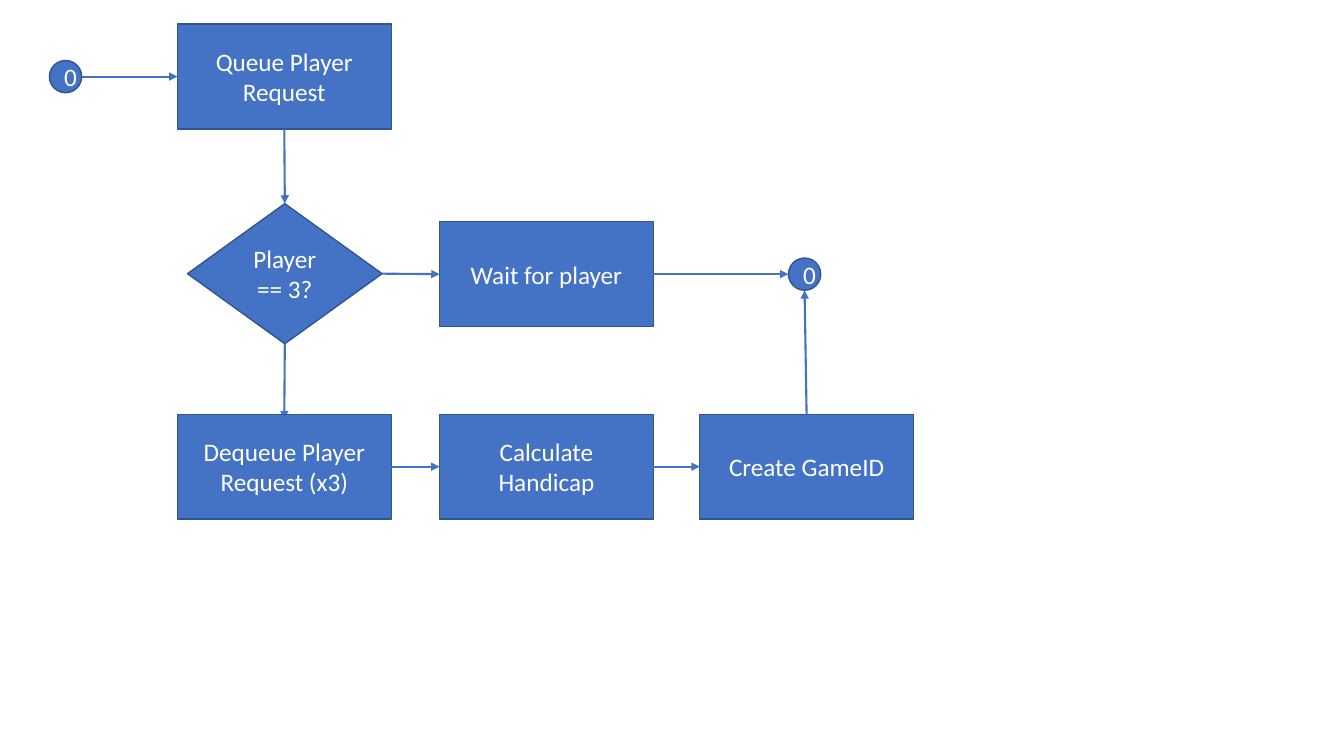
import pptx
import pptx.dml.color
import pptx.enum.shapes
import pptx.enum.text
import pptx.oxml
import pptx.oxml.ns
import pptx.util
from pptx.util import Inches

BLUE = pptx.dml.color.RGBColor(0x44, 0x72, 0xC4)
DARK_BLUE = pptx.dml.color.RGBColor(0x32, 0x54, 0x91)
WHITE = pptx.dml.color.RGBColor(0xFF, 0xFF, 0xFF)
KINDS = pptx.enum.shapes.MSO_SHAPE

TOP, LEFT, BOTTOM, RIGHT = range(4)
COLUMNS = (1.76, 4.36, 6.94)
QUEUE_ROW, WAIT_ROW, GAME_ROW = 0.24, 2.2, 4.11


def add_node(slide, kind, text, left, top, width, height):
    shape = slide.shapes.add_shape(
        kind, Inches(left), Inches(top), Inches(width), Inches(height))
    shape.shadow.inherit = False
    shape.fill.solid()
    shape.fill.fore_color.rgb = BLUE
    shape.line.color.rgb = DARK_BLUE
    shape.line.width = pptx.util.Pt(1)
    shape.text_frame.vertical_anchor = pptx.enum.text.MSO_ANCHOR.MIDDLE
    paragraph = shape.text_frame.paragraphs[0]
    paragraph.alignment = pptx.enum.text.PP_ALIGN.CENTER
    run = paragraph.add_run()
    run.text = text
    run.font.name = "Calibri"
    run.font.size = pptx.util.Pt(18)
    run.font.color.rgb = WHITE
    return shape


def add_process(slide, text, left, top):
    return add_node(slide, KINDS.FLOWCHART_PROCESS, text, left, top, 2.12, 1.04)


def add_state(slide, text, left, top):
    return add_node(slide, KINDS.FLOWCHART_CONNECTOR, text, left, top, 0.32, 0.32)


def add_arrow(slide, start, end, source=None, target=None):
    """Draw from start to end; source and target are (shape, side) to join."""
    arrow = slide.shapes.add_connector(
        pptx.enum.shapes.MSO_CONNECTOR.STRAIGHT,
        *(Inches(value) for value in start + end))
    if source:
        arrow.begin_connect(*source)
    if target:
        arrow.end_connect(*target)
    arrow.line.color.rgb = BLUE
    arrow.line.width = pptx.util.Pt(1.5)
    namespace = pptx.oxml.ns.nsdecls("a")
    line = arrow.line._get_or_add_ln()
    line.append(pptx.oxml.parse_xml(f'<a:tailEnd {namespace} type="triangle"/>'))
    line.addnext(pptx.oxml.parse_xml(f"<a:effectLst {namespace}/>"))


def main():
    presentation = pptx.Presentation()
    presentation.slide_width = Inches(13.33)
    presentation.slide_height = Inches(7.5)
    slide = presentation.slides.add_slide(presentation.slide_layouts[6])

    queue = add_process(slide, "Queue Player Request", COLUMNS[0], QUEUE_ROW)
    add_state(slide, "0", 0.49, 0.6)
    decision = add_node(
        slide, KINDS.FLOWCHART_DECISION, "Player == 3?", 1.86, 2.02, 1.93, 1.39)
    # This arrowhead tucks behind the box that follows it.
    add_arrow(slide, (2.82, 3.42), (2.82, 4.16), source=(decision, BOTTOM))
    dequeue, handicap, game = (
        add_process(slide, text, left, GAME_ROW)
        for text, left in zip(
            ("Dequeue Player Request (x3)", "Calculate Handicap", "Create GameID"),
            COLUMNS))
    wait = add_process(slide, "Wait for player", COLUMNS[1], WAIT_ROW)
    add_state(slide, "0", 7.82, 2.56)

    add_arrow(slide, (0.81, 0.76), (1.76, 0.76), target=(queue, LEFT))
    add_arrow(slide, (2.82, 1.28), (2.82, 2.02), (queue, BOTTOM), (decision, TOP))
    add_arrow(slide, (3.79, 2.72), (4.36, 2.72), (decision, RIGHT), (wait, LEFT))
    add_arrow(slide, (6.48, 2.72), (7.82, 2.72), source=(wait, RIGHT))
    add_arrow(slide, (3.88, 4.63), (4.36, 4.63), (dequeue, RIGHT), (handicap, LEFT))
    add_arrow(slide, (6.48, 4.63), (6.94, 4.63), (handicap, RIGHT), (game, LEFT))
    add_arrow(slide, (8, 4.11), (7.98, 2.88), source=(game, TOP))

    presentation.save("out.pptx")


if __name__ == "__main__":
    main()
